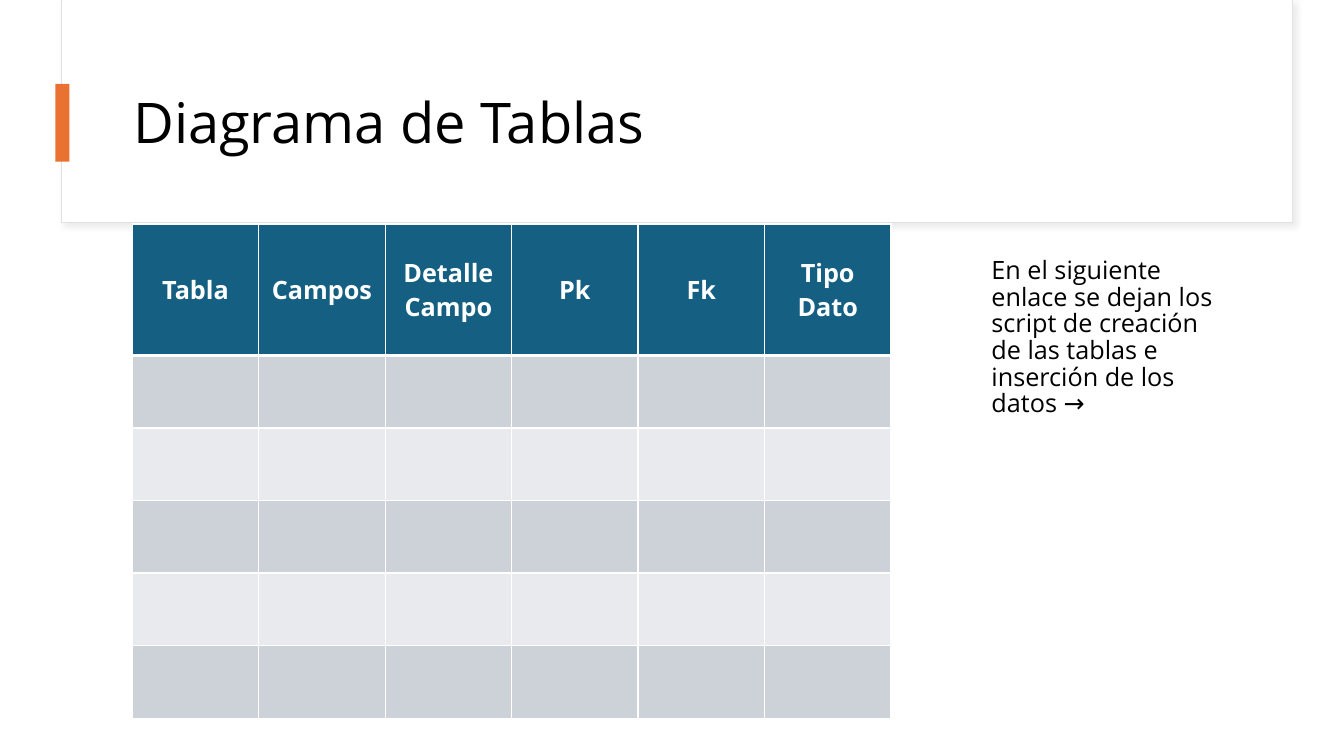
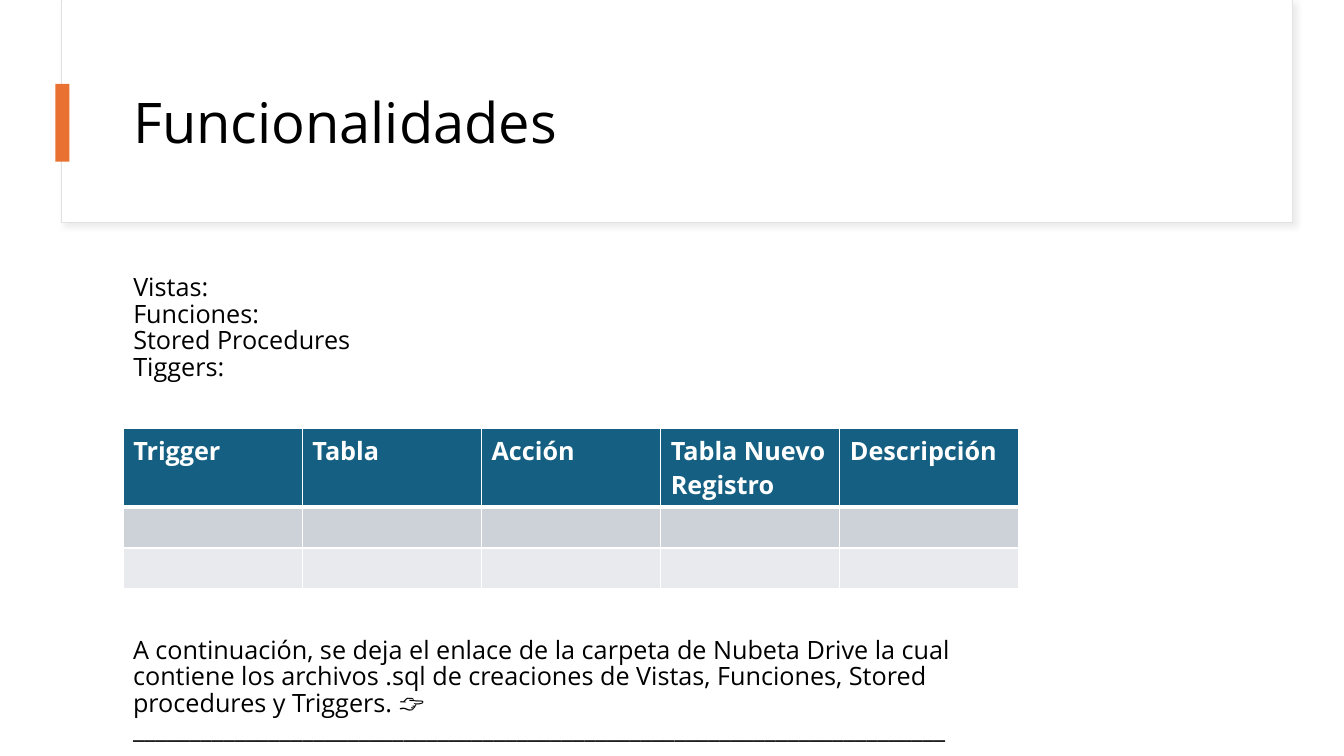
from lxml import etree
from pptx import Presentation
from pptx.dml.color import RGBColor
from pptx.enum.shapes import MSO_SHAPE
from pptx.enum.text import MSO_ANCHOR, MSO_AUTO_SIZE, PP_ALIGN
from pptx.oxml import parse_xml
from pptx.oxml.ns import qn
from pptx.util import Pt

WHITE = RGBColor(0xFF, 0xFF, 0xFF)
BLACK = RGBColor(0, 0, 0)
FRAME = RGBColor(0xE1, 0xE1, 0xE1)
SHADOW = RGBColor(0xD9, 0xD9, 0xD9)
ORANGE = RGBColor(0xE9, 0x71, 0x32)
TEAL = RGBColor(0x15, 0x60, 0x82)
BANDS = (RGBColor(0xCC, 0xD2, 0xD8), RGBColor(0xE8, 0xEA, 0xED))
FONT = "Open Sans"
A_NS = "http://schemas.openxmlformats.org/drawingml/2006/main"


def style_runs(p, size, color, bold=False):
    for r in p.runs:
        r.font.name = FONT
        r.font.size = Pt(size)
        r.font.bold = bold
        r.font.color.rgb = color


def place(shape, box):
    shape.left, shape.top, shape.width, shape.height = map(Pt, box)


def add_rect(slide, box, fill, line=None):
    sp = slide.shapes.add_shape(MSO_SHAPE.RECTANGLE, *map(Pt, box))
    sp.shadow.inherit = False
    sp.fill.solid()
    sp.fill.fore_color.rgb = fill
    if line is None:
        sp.line.fill.background()
    else:
        sp.line.color.rgb = line
        sp.line.width = Pt(0.75)
    return sp


def add_soft_shadow(sp):
    effects = sp._element.spPr.find(qn("a:effectLst"))
    effects.append(parse_xml(
        f'<a:outerShdw xmlns:a="{A_NS}" blurRad="{Pt(4)}" dist="{Pt(3)}" '
        f'dir="2700000" algn="tl" rotWithShape="0"><a:srgbClr val="{SHADOW}">'
        '<a:alpha val="50000"/></a:srgbClr></a:outerShdw>'))


def add_header(slide, text):
    """Title inside a framed band that hangs from the top edge."""
    title = slide.shapes.title
    frame = add_rect(slide, (44, 0, 879, 159), WHITE, FRAME)
    add_soft_shadow(frame)
    panel = add_rect(slide, (44.5, 0, 878.5, 158.5), WHITE)
    for sp in (frame, panel):
        title._element.addprevious(sp._element)
    add_rect(slide, (39.5, 60, 10, 55.5), ORANGE)

    place(title, (88, 43, 800, 93))
    tf = title.text_frame
    tf.text = text
    tf.auto_size = MSO_AUTO_SIZE.NONE
    tf.vertical_anchor = MSO_ANCHOR.MIDDLE
    p = tf.paragraphs[0]
    p.alignment = PP_ALIGN.LEFT
    p.line_spacing = 0.9
    style_runs(p, 40, BLACK)


def fill_text(shape, lines):
    """Plain 18 pt lines without bullets."""
    tf = shape.text_frame
    tf.word_wrap = True
    tf.auto_size = MSO_AUTO_SIZE.NONE
    tf.vertical_anchor = MSO_ANCHOR.TOP
    tf.text = "\n".join(lines)
    for p in tf.paragraphs:
        p.line_spacing = 0.88
        p.space_before = p.space_after = Pt(0)
        pPr = p._p.get_or_add_pPr()
        pPr.set("marL", "0")
        pPr.set("indent", "0")
        etree.SubElement(pPr, qn("a:buNone"))
        style_runs(p, 18, BLACK)


def add_body(slide, box, lines):
    body = slide.placeholders[1]
    place(body, box)
    fill_text(body, lines)


def set_borders(cell, top, bottom):
    widths = {"lnL": 1, "lnR": 1, "lnT": top, "lnB": bottom}
    tcPr = cell._tc.get_or_add_tcPr()
    for i, (side, width) in enumerate(widths.items()):
        tcPr.insert(i, parse_xml(
            f'<a:{side} xmlns:a="{A_NS}" w="{Pt(width)}"><a:solidFill>'
            f'<a:srgbClr val="{WHITE}"/></a:solidFill></a:{side}>'))


def add_grid(slide, box, heads, row_heights, centered=False):
    """Table with a dark heading row over empty banded rows."""
    n_rows, n_cols = len(row_heights), len(heads)
    graphic = slide.shapes.add_table(n_rows, n_cols, *map(Pt, box))
    table = graphic.table
    for col in table.columns:
        col.width = Pt(box[2] / n_cols)
    for i, height in enumerate(row_heights):
        table.rows[i].height = Pt(height)
        for j, head in enumerate(heads):
            cell = table.cell(i, j)
            cell.fill.solid()
            cell.fill.fore_color.rgb = BANDS[(i - 1) % 2] if i else TEAL
            set_borders(cell, 3 if i == 1 else 1, 1 if i else 3)
            if i == 0:
                cell.text_frame.text = head
                p = cell.text_frame.paragraphs[0]
                style_runs(p, 18, WHITE, bold=True)
                if centered:
                    cell.vertical_anchor = MSO_ANCHOR.MIDDLE
                    p.alignment = PP_ALIGN.CENTER
    graphic.height = Pt(box[3])


def build_tables_slide(slide):
    add_header(slide, "Diagrama de Tablas")
    heads = ("Tabla", "Campos", "Detalle Campo", "Pk", "Fk", "Tipo Dato")
    add_grid(slide, (94.5, 160, 542, 353), heads, [94] + [51.8] * 5,
             centered=True)
    add_body(slide, (701, 181, 187, 117), [
        "En el siguiente enlace se dejan los script de creación de las tablas "
        "e inserción de los datos →"])


def build_features_slide(slide):
    add_header(slide, "Funcionalidades")
    add_body(slide, (88, 193, 664, 100),
             ["Vistas:", "Funciones:", "Stored Procedures", "Tiggers:"])
    heads = ("Trigger", "Tabla", "Acción", "Tabla Nuevo Registro",
             "Descripción")
    add_grid(slide, (88, 306, 640, 108.5), heads, [29.2] * 3)
    note = slide.shapes.add_textbox(*map(Pt, (88, 452, 664, 88)))
    fill_text(note, [
        "A continuación, se deja el enlace de la carpeta de Nubeta Drive la "
        "cual contiene los archivos .sql de creaciones de Vistas, Funciones, "
        "Stored procedures y Triggers. 👉" + "_" * 72])


def main():
    prs = Presentation()
    prs.slide_width, prs.slide_height = Pt(960), Pt(540)
    for build in (build_tables_slide, build_features_slide):
        build(prs.slides.add_slide(prs.slide_layouts[1]))
    prs.save("out.pptx")


if __name__ == "__main__":
    main()
